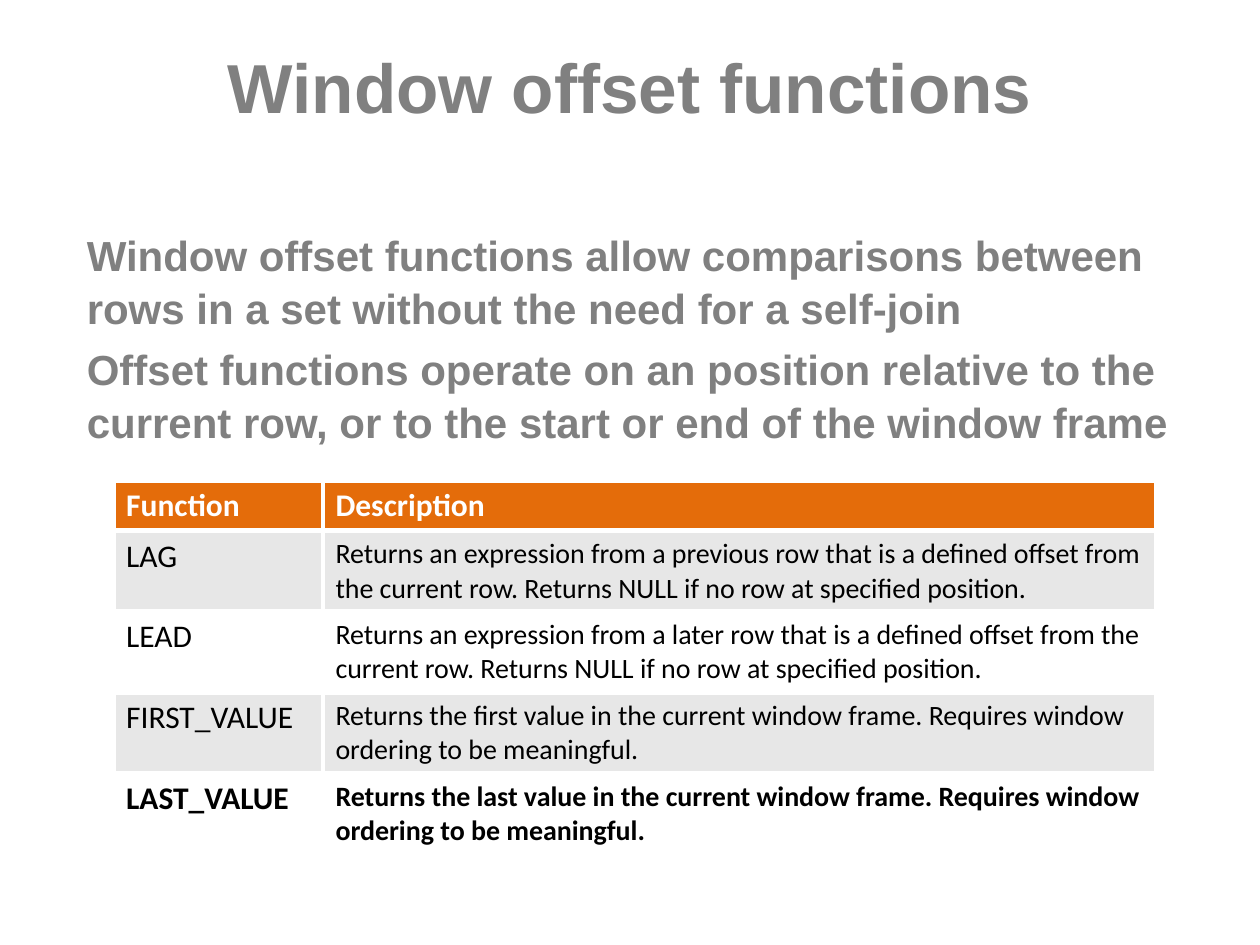
from dataclasses import dataclass

from lxml.etree import SubElement
from pptx import Presentation
from pptx.dml.color import RGBColor
from pptx.enum.text import MSO_ANCHOR, PP_ALIGN
from pptx.oxml.ns import qn
from pptx.slide import Slide
from pptx.table import _Cell
from pptx.text.text import _Paragraph
from pptx.util import Cm, Pt

COLORS = {
    "heading": "808080",
    "header": "E46C0A",
    "band": "E7E7E7",
    "white": "FFFFFF",
    "black": "000000",
}


@dataclass(frozen=True)
class TextStyle:
    font: str
    size: float
    color: str
    bold: bool = False


@dataclass(frozen=True)
class TextBlock:
    left: float
    top: float
    width: float
    height: float
    paragraphs: tuple[str, ...]
    style: TextStyle
    align: PP_ALIGN = PP_ALIGN.LEFT
    anchor: MSO_ANCHOR = MSO_ANCHOR.TOP
    space_before: float = 0
    line_spacing: float = 1.0


@dataclass(frozen=True)
class FunctionRow:
    name: str
    description: str
    fill: str
    color: str = "black"
    bold: bool = False
    description_size: float = 16
    height: float = 1.63


BLOCKS = (
    TextBlock(
        1.27, 0.76, 22.86, 1.96, ("Window offset functions",),
        TextStyle("Arial", 39.6, "heading", True),
        align=PP_ALIGN.CENTER, anchor=MSO_ANCHOR.MIDDLE,
    ),
    TextBlock(
        1.5, 4.45, 22.63, 4.67,
        (
            "Window offset functions allow comparisons between rows in a set "
            "without the need for a self-join",
            "Offset functions operate on an position relative to the current row, "
            "or to the start or end of the window frame",
        ),
        TextStyle("Arial", 24, "heading", True),
        space_before=4.8, line_spacing=1.05,
    ),
)

ROWS = (
    FunctionRow("Function", "Description", "header", "white", True, 18, 1.02),
    FunctionRow(
        "LAG",
        "Returns an expression from a previous row that is a defined offset from "
        "the current row. Returns NULL if no row at specified position.",
        "band",
    ),
    FunctionRow(
        "LEAD",
        "Returns an expression from a later row that is a defined offset from the "
        "current row. Returns NULL if no row at specified position.",
        "white",
    ),
    FunctionRow(
        "FIRST_VALUE",
        "Returns the first value in the current window frame. Requires window "
        "ordering to be meaningful.",
        "band",
    ),
    FunctionRow(
        "LAST_VALUE",
        "Returns the last value in the current window frame. Requires window "
        "ordering to be meaningful.",
        "white", bold=True,
    ),
)
COLUMN_WIDTHS = (4.22, 16.79)


def add_span(para: _Paragraph, text: str, style: TextStyle) -> None:
    """Add one styled run to a paragraph."""
    span = para.add_run()
    span.text = text
    span.font.name = style.font
    span.font.size = Pt(style.size)
    span.font.bold = style.bold
    span.font.color.rgb = RGBColor.from_string(COLORS[style.color])


def add_text_block(page: Slide, block: TextBlock) -> None:
    """Add a wrapped text box with one paragraph per entry."""
    box = page.shapes.add_textbox(
        Cm(block.left), Cm(block.top), Cm(block.width), Cm(block.height)
    )
    frame = box.text_frame
    frame.word_wrap = True
    frame.vertical_anchor = block.anchor
    for index, text in enumerate(block.paragraphs):
        para = frame.add_paragraph() if index else frame.paragraphs[0]
        para.alignment = block.align
        para.space_before = Pt(block.space_before)
        para.line_spacing = block.line_spacing
        add_span(para, text, block.style)


def add_borders(cell: _Cell, color: str, width: float) -> None:
    """Draw the same solid border on all four sides of a cell."""
    properties = cell._tc.get_or_add_tcPr()
    for side in ("lnL", "lnR", "lnT", "lnB"):
        line = SubElement(properties, qn(f"a:{side}"), w=str(Pt(width)))
        fill = SubElement(line, qn("a:solidFill"))
        SubElement(fill, qn("a:srgbClr"), val=COLORS[color])


def fill_cell(cell: _Cell, text: str, style: TextStyle, fill: str) -> None:
    """Give a cell its borders, fill and text."""
    add_borders(cell, "white", 3)
    cell.fill.solid()
    cell.fill.fore_color.rgb = RGBColor.from_string(COLORS[fill])
    add_span(cell.text_frame.paragraphs[0], text, style)


def add_function_table(page: Slide) -> None:
    """Add the table of window offset functions."""
    table = page.shapes.add_table(
        len(ROWS), len(COLUMN_WIDTHS), Cm(2.29), Cm(9.68),
        Cm(sum(COLUMN_WIDTHS)), Cm(sum(row.height for row in ROWS)),
    ).table
    table.horz_banding = False
    for column, width in zip(table.columns, COLUMN_WIDTHS):
        column.width = Cm(width)
    for table_row, row in zip(table.rows, ROWS):
        table_row.height = Cm(row.height)
        entries = ((row.name, 18), (row.description, row.description_size))
        for cell, (text, size) in zip(table_row.cells, entries):
            style = TextStyle("Calibri", size, row.color, row.bold)
            fill_cell(cell, text, style, row.fill)


def main() -> None:
    """Build the slide and save the deck."""
    deck = Presentation()
    deck.slide_width, deck.slide_height = Cm(25.4), Cm(19.05)
    page = deck.slides.add_slide(deck.slide_layouts[6])
    for block in BLOCKS:
        add_text_block(page, block)
    add_function_table(page)
    deck.save("out.pptx")


if __name__ == "__main__":
    main()
